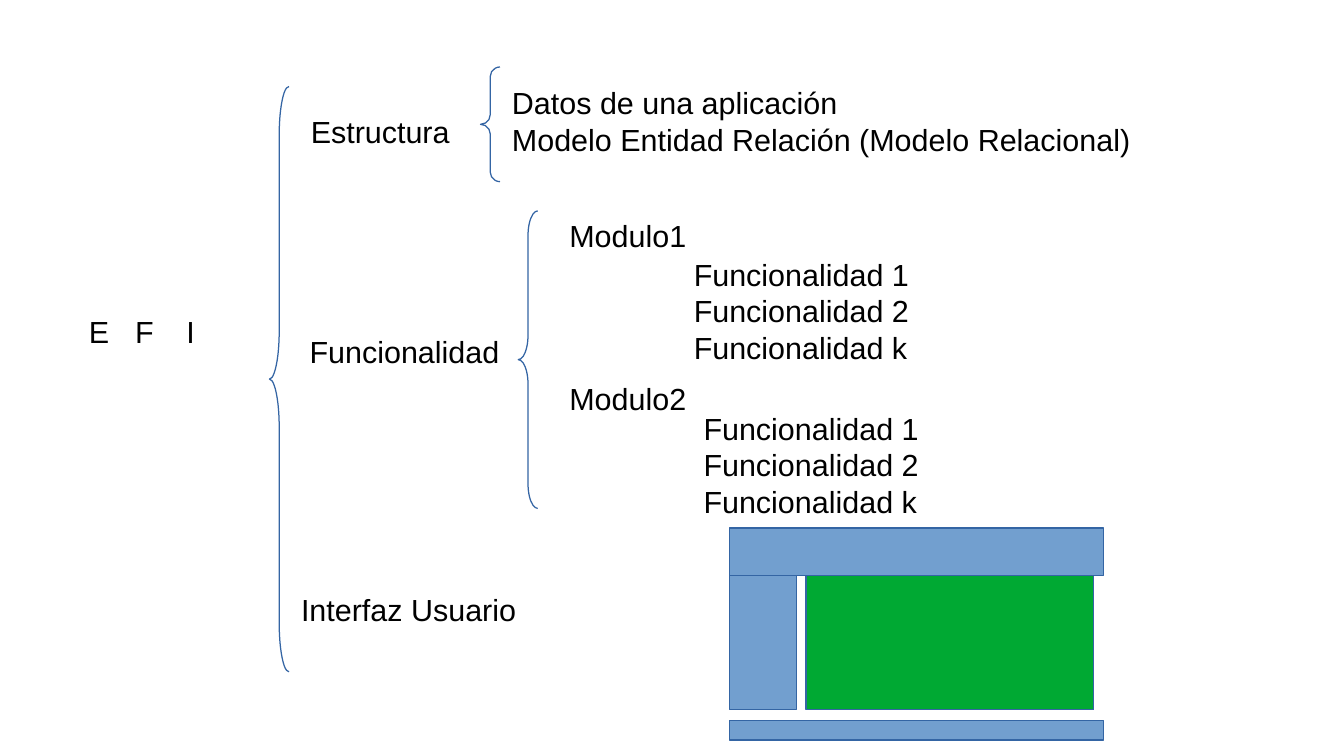
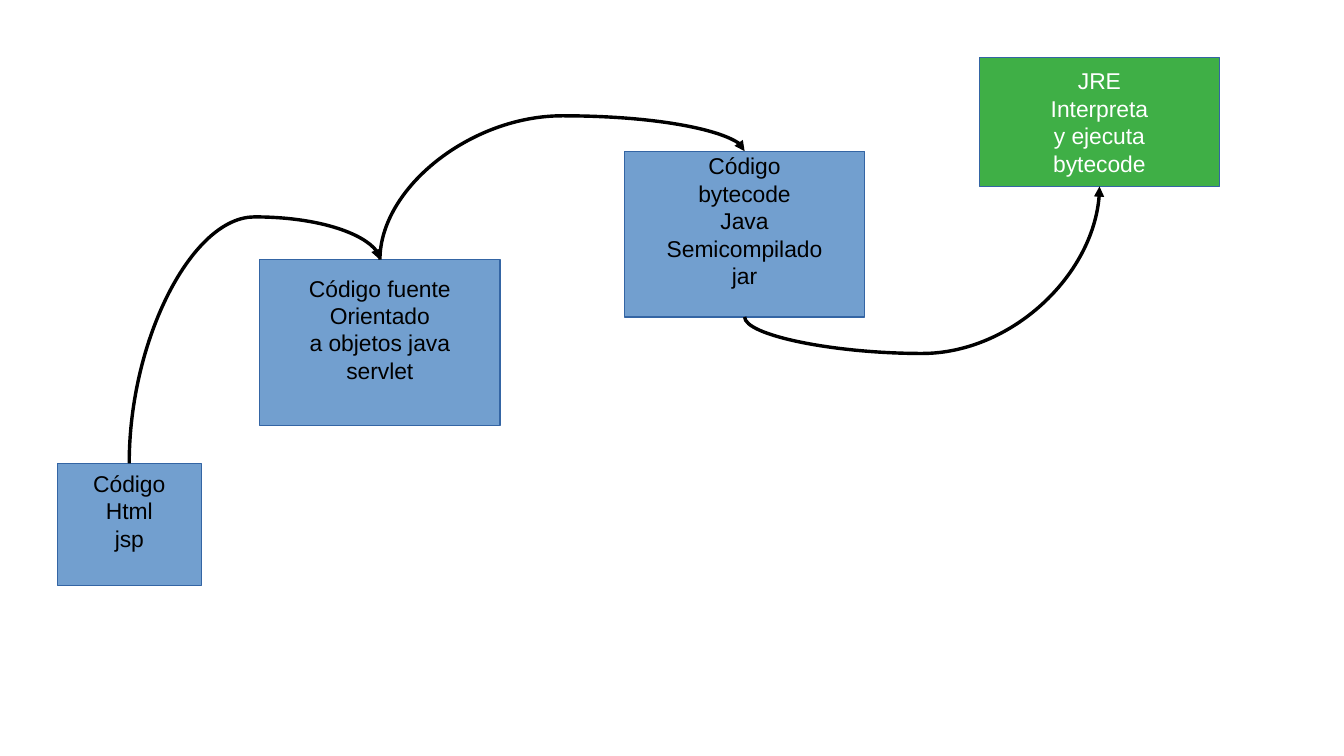
from dataclasses import dataclass

from lxml.etree import SubElement
from pptx import Presentation
from pptx.dml.color import RGBColor
from pptx.enum.shapes import MSO_CONNECTOR as Connector, MSO_SHAPE as Preset
from pptx.enum.text import MSO_ANCHOR as Anchor, PP_ALIGN as Align
from pptx.oxml.ns import qn
from pptx.shapes.autoshape import Shape
from pptx.slide import Slide
from pptx.text.text import TextFrame
from pptx.util import Inches, Pt


@dataclass(frozen=True)
class Theme:
    font: str = "Arial"
    label_size: float = 18
    box_size: float = 13.5
    hairline: float = 0
    text: str = "000000"
    light_text: str = "FFFFFF"
    outline: str = "3465A4"
    blue: str = "729FCF"
    green: str = "00A933"
    soft_green: str = "3FAF46"
    arrow: str = "000000"


@dataclass(frozen=True)
class Area:
    left: float
    top: float
    width: float
    height: float

    @property
    def lengths(self) -> tuple[Inches, ...]:
        return tuple(Inches(n) for n in (self.left, self.top, self.width, self.height))

    @property
    def center(self) -> float:
        return self.left + self.width / 2

    @property
    def bottom(self) -> float:
        return self.top + self.height


@dataclass(frozen=True)
class Label:
    text: str
    area: Area
    tabs: tuple[float, ...] = ()


@dataclass(frozen=True)
class Panel:
    area: Area
    fill: str


@dataclass(frozen=True)
class Stage:
    text: str
    area: Area
    fill: str
    color: str
    bottom_inset: float


@dataclass(frozen=True)
class Arrow:
    start: tuple[float, float]
    end: tuple[float, float]
    bend: float  # height of the middle of the curve on the page


THEME = Theme()
LINE_GAP = 0.27  # bottom inset that lifts the text by half a line

FUNCTIONS = "Funcionalidad 1\nFuncionalidad 2\nFuncionalidad k"
LABELS = (
    Label("E\tF\tI", Area(0.63, 2.52, 1.34, 0.38), (0.38, 0.8)),
    Label("Estructura", Area(2.45, 0.88, 1.5, 0.66)),
    Label("Funcionalidad", Area(2.44, 2.68, 1.81, 0.38)),
    Label("Interfaz Usuario", Area(2.37, 4.8, 2.36, 0.66)),
    Label("Datos de una aplicación\nModelo Entidad Relación (Modelo Relacional)",
          Area(4.1, 0.64, 6.3, 0.94)),
    Label("Modulo1", Area(4.57, 1.73, 2.05, 0.38)),
    Label(FUNCTIONS, Area(5.59, 2.05, 2.05, 0.94)),
    Label("Modulo2", Area(4.57, 3.07, 2.05, 0.38)),
    Label(FUNCTIONS, Area(5.67, 3.31, 2.05, 0.94)),
)
BRACES = (
    Area(2.21, 0.71, 0.16, 4.8),
    Area(3.94, 0.55, 0.16, 0.94),
    Area(4.25, 1.73, 0.16, 2.44),
)
INTERFACE_PANELS = (
    Panel(Area(5.98, 4.33, 3.07, 0.39), THEME.blue),
    Panel(Area(5.98, 4.72, 0.55, 1.1), THEME.blue),
    Panel(Area(6.61, 4.72, 2.36, 1.1), THEME.green),
    Panel(Area(5.98, 5.91, 3.07, 0.16), THEME.blue),
)

PAGE_CODE = Stage("Código\nHtml\njsp", Area(0.47, 3.8, 1.18, 1),
                  THEME.blue, THEME.text, LINE_GAP)
SERVLET = Stage("Código fuente\nOrientado\na objetos java\nservlet",
                Area(2.13, 2.13, 1.97, 1.36), THEME.blue, THEME.text, LINE_GAP)
BYTECODE = Stage("Código\nbytecode\nJava\nSemicompilado\njar",
                 Area(5.12, 1.24, 1.97, 1.36), THEME.blue, THEME.text, LINE_GAP)
RUNTIME = Stage("JRE\nInterpreta\ny ejecuta\nbytecode", Area(8.03, 0.47, 1.97, 1.06),
                THEME.soft_green, THEME.light_text, 0.05)
STAGES = (PAGE_CODE, SERVLET, BYTECODE, RUNTIME)


def top_of(stage: Stage) -> tuple[float, float]:
    return stage.area.center, stage.area.top


def bottom_of(stage: Stage) -> tuple[float, float]:
    return stage.area.center, stage.area.bottom


ARROWS = (
    Arrow(top_of(PAGE_CODE), top_of(SERVLET), 1.78),
    Arrow(top_of(SERVLET), top_of(BYTECODE), 0.95),
    Arrow(bottom_of(BYTECODE), bottom_of(RUNTIME), 2.9),
)


def color_of(code: str) -> RGBColor:
    return RGBColor.from_string(code)


def format_text(frame: TextFrame, size: float, color: str, align: Align) -> None:
    for para in frame.paragraphs:
        para.alignment = align
        for span in para.runs:
            span.font.name = THEME.font
            span.font.size = Pt(size)
            span.font.color.rgb = color_of(color)


def add_outlined(page: Slide, preset: Preset, area: Area, fill: str | None = None) -> Shape:
    shape = page.shapes.add_shape(preset, *area.lengths)
    shape.shadow.inherit = False
    if fill:
        shape.fill.solid()
        shape.fill.fore_color.rgb = color_of(fill)
    else:
        shape.fill.background()
    shape.line.color.rgb = color_of(THEME.outline)
    shape.line.width = Pt(THEME.hairline)
    return shape


def add_label(page: Slide, label: Label) -> None:
    box = page.shapes.add_textbox(*label.area.lengths)
    frame = box.text_frame
    frame.word_wrap = True
    frame.text = label.text
    if label.tabs:
        properties = frame.paragraphs[0]._p.get_or_add_pPr()
        stops = SubElement(properties, qn("a:tabLst"))
        for position in label.tabs:
            SubElement(stops, qn("a:tab"), pos=str(Inches(position)), algn="l")
    format_text(frame, THEME.label_size, THEME.text, Align.LEFT)


def add_brace(page: Slide, area: Area) -> None:
    """Draw a left brace whose four curves each take a twelfth of its height."""
    brace = add_outlined(page, Preset.LEFT_BRACE, area)
    brace.adjustments[0] = area.height / 12 / area.width


def add_stage(page: Slide, stage: Stage) -> None:
    box = add_outlined(page, Preset.RECTANGLE, stage.area, stage.fill)
    frame = box.text_frame
    frame.word_wrap = False
    frame.vertical_anchor = Anchor.MIDDLE
    frame.margin_bottom = Inches(stage.bottom_inset)
    frame.text = stage.text
    format_text(frame, THEME.box_size, stage.color, Align.CENTER)


def add_arrow(page: Slide, arrow: Arrow) -> None:
    """Draw a curve that leaves and arrives vertically, rising from left to right.

    The preset curve runs sideways, so it is laid out lying down and turned 90 degrees.
    """
    (start_x, start_y), (end_x, end_y) = arrow.start, arrow.end
    run, rise = end_x - start_x, start_y - end_y
    middle_x, middle_y = (start_x + end_x) / 2, (start_y + end_y) / 2
    curve = page.shapes.add_connector(
        Connector.CURVE,
        Inches(middle_x + rise / 2), Inches(middle_y + run / 2),
        Inches(middle_x - rise / 2), Inches(middle_y - run / 2),
    )
    curve.line.color.rgb = color_of(THEME.arrow)
    curve.line.width = Pt(THEME.hairline)
    properties = curve._element.spPr
    properties.find(qn("a:xfrm")).set("rot", str(90 * 60000))
    geometry = properties.find(qn("a:prstGeom"))
    guides = geometry.find(qn("a:avLst"))
    if guides is None:
        guides = SubElement(geometry, qn("a:avLst"))
    bend = round((start_y - arrow.bend) / rise * 100000)
    SubElement(guides, qn("a:gd"), name="adj1", fmla=f"val {bend}")
    SubElement(properties.find(qn("a:ln")), qn("a:tailEnd"), type="triangle")
    SubElement(properties, qn("a:effectLst"))


def build_outline(page: Slide) -> None:
    for area in BRACES:
        add_brace(page, area)
    for label in LABELS:
        add_label(page, label)
    for panel in INTERFACE_PANELS:
        add_outlined(page, Preset.RECTANGLE, panel.area, panel.fill)


def build_compilation(page: Slide) -> None:
    for stage in STAGES:
        add_stage(page, stage)
    for arrow in ARROWS:
        add_arrow(page, arrow)


def main() -> None:
    deck = Presentation()
    deck.slide_width, deck.slide_height = Inches(11.02), Inches(6.2)
    blank = deck.slide_layouts[6]
    for build in (build_outline, build_compilation):
        build(deck.slides.add_slide(blank))
    deck.save("out.pptx")


if __name__ == "__main__":
    main()
